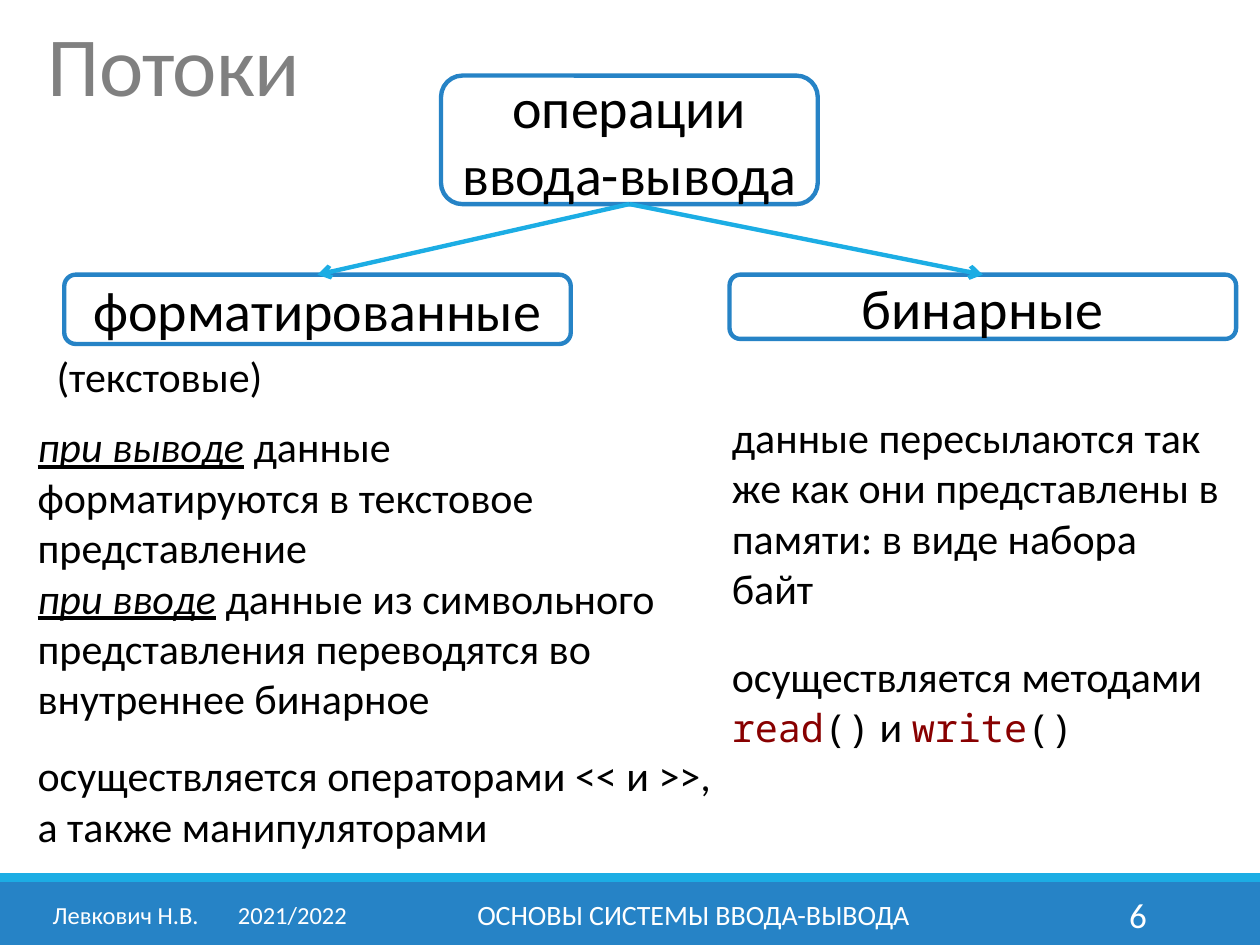
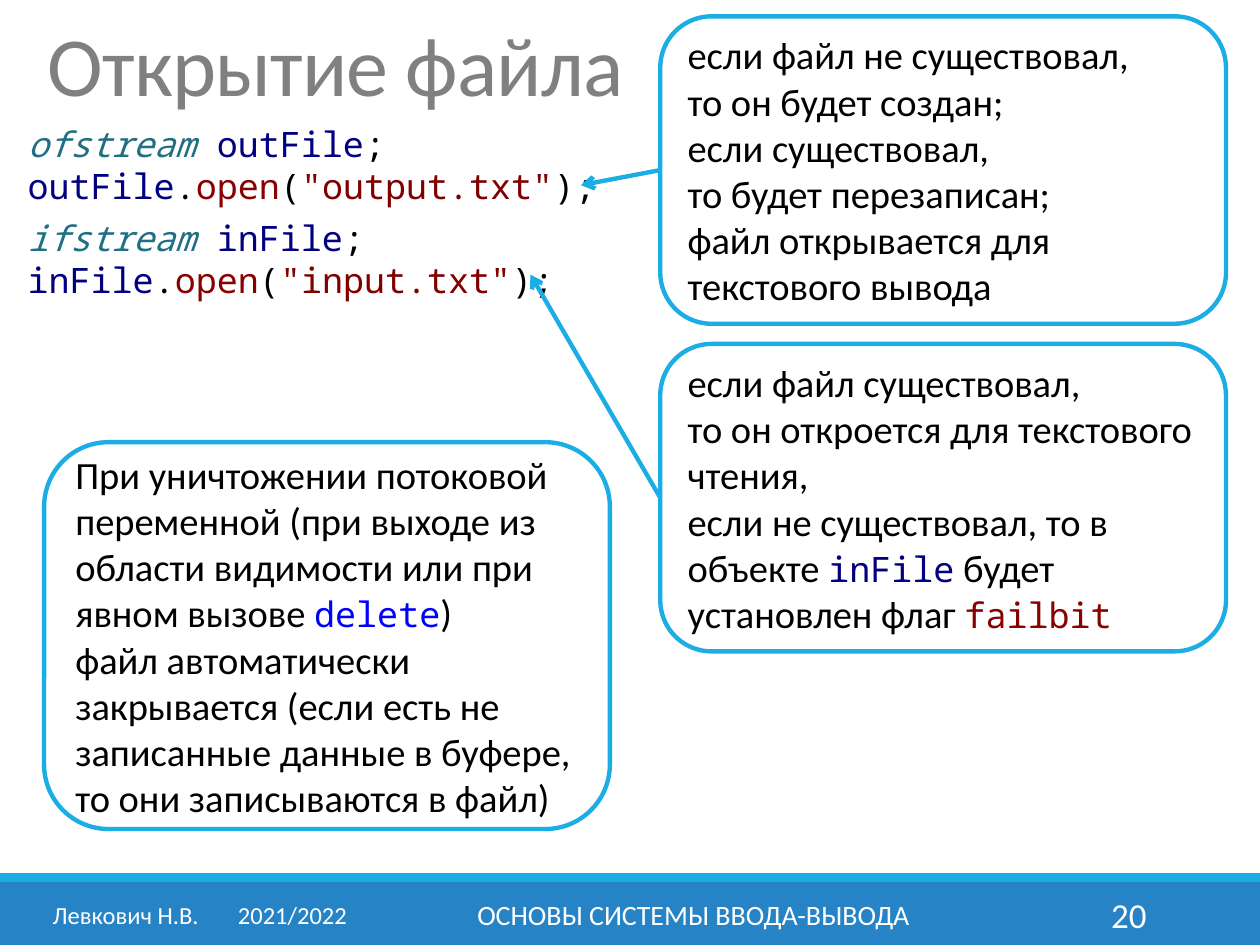
from lxml import etree
from pptx import Presentation
from pptx.dml.color import RGBColor
from pptx.enum.shapes import MSO_CONNECTOR, MSO_SHAPE
from pptx.enum.text import MSO_ANCHOR, MSO_AUTO_SIZE, PP_ALIGN
from pptx.oxml.ns import qn
from pptx.util import Inches, Pt

LEFT, MID, RIGHT = PP_ALIGN.LEFT, PP_ALIGN.CENTER, PP_ALIGN.RIGHT
TOP, CENTER = MSO_ANCHOR.TOP, MSO_ANCHOR.MIDDLE
FIXED = MSO_AUTO_SIZE.NONE
RECT, ROUND = MSO_SHAPE.RECTANGLE, MSO_SHAPE.ROUNDED_RECTANGLE
STRAIGHT = MSO_CONNECTOR.STRAIGHT

# Sites where connectors join a box
ABOVE, BESIDE, BELOW = 0, 1, 2

WHITE = RGBColor(0xFF, 0xFF, 0xFF)
BLACK = RGBColor(0x00, 0x00, 0x00)
GRAY = RGBColor(0x80, 0x80, 0x80)
BLUE = RGBColor(0x26, 0x83, 0xC6)
CYAN = RGBColor(0x1C, 0xAD, 0xE4)
NAVY = RGBColor(0x00, 0x00, 0x80)
TEAL = RGBColor(0x21, 0x6F, 0x85)
RED = RGBColor(0x88, 0x00, 0x00)
MAROON = RGBColor(0x80, 0x00, 0x00)
KEY = RGBColor(0x00, 0x00, 0xFF)

SANS, MONO = "Calibri", "Noto Sans Mono"
LINE = Pt(2.5)

# The slide is a grid of 100 columns and 75 rows
COLS, ROWS = 100, 75
CELL = Inches(0.1)
BAND = 70


def grid(*cells):
    return [round(CELL * n) for n in cells]


# Runs: (text, size, font, colour, slanted, underlined)
def word(text, size=24, color=BLACK, line=False):
    return text, size, SANS, color, line, line


def code(text, size=20, color=BLACK, slant=False):
    return text, size, MONO, color, slant, False


def add_run(para, text, size, font, color, slant, line):
    for i, part in enumerate(text.split("\n")):
        if i:
            para.add_line_break()
        if not part:
            continue
        run = para.add_run()
        run.text = part
        run.font.size = Pt(size)
        run.font.name = font
        run.font.color.rgb = color
        run.font.italic = slant
        run.font.underline = line


def write(frame, paras, align=LEFT, anchor=CENTER):
    frame.word_wrap = True
    frame.auto_size = FIXED
    frame.vertical_anchor = anchor
    for i, runs in enumerate(paras):
        para = frame.add_paragraph() if i else frame.paragraphs[0]
        para.alignment = align
        for run in runs:
            add_run(para, *run)
    return frame


def add_text(slide, cells, paras, **look):
    box = slide.shapes.add_textbox(*grid(*cells))
    return write(box.text_frame, paras, **look)


def add_box(slide, cells, runs, edge=CYAN, align=LEFT):
    box = slide.shapes.add_shape(ROUND, *grid(*cells))
    box.shadow.inherit = False
    box.fill.solid()
    box.fill.fore_color.rgb = WHITE
    box.line.color.rgb = edge
    box.line.width = LINE
    write(box.text_frame, [runs], align)
    return box


def add_arrow(slide, box, site, goal):
    """Run from a box to another box's top or to a grid point."""
    free = isinstance(goal, tuple)
    end = grid(*goal) if free else (goal.left, goal.top)
    link = slide.shapes.add_connector(STRAIGHT, box.left, box.top, *end)
    link.begin_connect(box, site)
    if not free:
        link.end_connect(goal, ABOVE)
    link.line.color.rgb = CYAN
    link.line.width = LINE
    props = link.element.spPr
    etree.SubElement(props.find(qn("a:ln")), qn("a:tailEnd"), type="arrow")
    etree.SubElement(props, qn("a:effectLst"))


def add_bands(deck, slide):
    """Draw the foot bands and hand them to the master."""
    for top, high, color in ((BAND, 5, BLUE), (BAND - 0.7, 0.7, CYAN)):
        band = slide.shapes.add_shape(RECT, *grid(0, top, COLS, high))
        band.shadow.inherit = False
        band.fill.solid()
        band.fill.fore_color.rgb = color
        band.line.fill.background()
        deck.slide_master.shapes.element.append(band.element)


def add_title(slide, text, width):
    title = slide.shapes.title
    title.left, title.top, title.width, title.height = grid(2.8, 1.3, width, 8.7)
    frame = write(title.text_frame, [[word(text, 48, GRAY)]])
    para = frame.paragraphs[0]
    para.line_spacing = 0.85
    para.runs[0].font._element.set("spc", "-50")


def add_foot(slide, number):
    top, high = BAND + 0.6, 4
    frame = add_text(slide, (3.2, top, 26.1, high),
                     [[word("Левкович Н.В.\t2021/2022", 14, WHITE)]])
    props = frame.paragraphs[0]._p.get_or_add_pPr()
    tabs = etree.SubElement(props, qn("a:tabLst"))
    etree.SubElement(tabs, qn("a:tab"), pos=str(Inches(1.47)), algn="l")
    add_text(slide, (30.2, top, 49.7, high),
             [[word("ОСНОВЫ СИСТЕМЫ ВВОДА-ВЫВОДА", 16, WHITE)]], align=MID)
    add_text(slide, (81.2, top, 10.8, high),
             [[word(str(number), 20, WHITE)]], align=RIGHT)


def start(deck, text, number, width):
    slide = deck.slides.add_slide(deck.slide_layouts[5])
    add_title(slide, text, width)
    add_foot(slide, number)
    return slide


def fill_streams(slide):
    # Tree of operations
    root, form, raw = [
        add_box(slide, cells, [word(text, 32)], BLUE, MID)
        for text, cells in (
            ("операции ввода-вывода", (35, 6, 29.9, 10.2)),
            ("форматированные", (5.1, 21.8, 40.2, 5.5)),
            ("бинарные", (57.9, 21.8, 40.2, 5.1)),
        )
    ]
    for leaf in (form, raw):
        add_arrow(slide, root, BELOW, leaf)

    # Formatted branch
    add_text(slide, (3.5, 27.3, 33.9, 5), [[word("(текстовые)")]], anchor=TOP)
    add_text(slide, (2, 32, 51.2, 26.8), [[
        word("при выводе", line=True),
        word(" данные форматируются в текстовое представление\n"),
        word("при вводе", line=True),
        word(" данные из символьного представления переводятся"
             " во внутреннее бинарное"),
    ]])
    add_text(slide, (2, 58.8, 55.9, 9.4), [[
        word("осуществляется операторами << и >>, а также манипуляторами")]])

    # Binary branch
    add_text(slide, (57.1, 32, 40.9, 17.3), [[
        word("данные пересылаются так же как они представлены в памяти:"
             " в виде набора байт")]])
    add_text(slide, (57.1, 50.9, 39.4, 9.4), [[
        word("осуществляется методами "),
        code("read", 22, RED), code("()", 22), word(" и "),
        code("write", 22, RED), code("()", 22),
    ]])


def open_code(kind, name, file):
    """Two code lines: declare a stream, then open its file."""
    return [
        [code(kind, color=TEAL, slant=True), code(" "),
         code(name, color=NAVY), code(";")],
        [code(name, color=NAVY), code("."), code("open", color=RED),
         code("("), code(f'"{file}"', color=MAROON), code(");")],
    ]


def fill_open(slide):
    # Code
    lines = (open_code("ofstream", "outFile", "output.txt")
             + open_code("ifstream", "inFile", "input.txt"))
    frame = add_text(slide, (1.2, 9.2, 96.1, 15.3), lines, anchor=TOP)
    frame.paragraphs[2].space_before = Pt(6)

    # Notes on the two calls
    made = [word("если файл не существовал,\nто он будет создан;\n"
                 "если существовал,\nто будет перезаписан;\n"
                 "файл открывается для текстового вывода", 22)]
    read = [
        word("если файл существовал,\nто он откроется для текстового чтения,\n"
             "если не существовал, то в объекте ", 22),
        code("inFile", color=NAVY),
        word(" будет установлен флаг ", 22),
        code("failbit", color=RED),
    ]
    for top, runs, goal in ((1.3, made, (46.1, 14.7)),
                            (27.3, read, (42.1, 21.8))):
        note = add_box(slide, (52.4, top, 44.9, 24.4), runs)
        add_arrow(slide, note, BESIDE, goal)

    # Note on closing
    add_box(slide, (3.5, 35.1, 44.9, 30.7), [
        word("При уничтожении потоковой переменной (при выходе из области"
             " видимости или при явном вызове ", 22),
        code("delete", color=KEY),
        word(")\nфайл автоматически закрывается (если есть не записанные"
             " данные в буфере, то они записываются в файл)", 22),
    ])


def main():
    deck = Presentation()
    deck.slide_width, deck.slide_height = grid(COLS, ROWS)
    streams = start(deck, "Потоки", 6, 94.5)
    add_bands(deck, streams)
    fill_streams(streams)
    fill_open(start(deck, "Открытие файла", 20, 48.4))
    deck.save("out.pptx")


if __name__ == "__main__":
    main()
